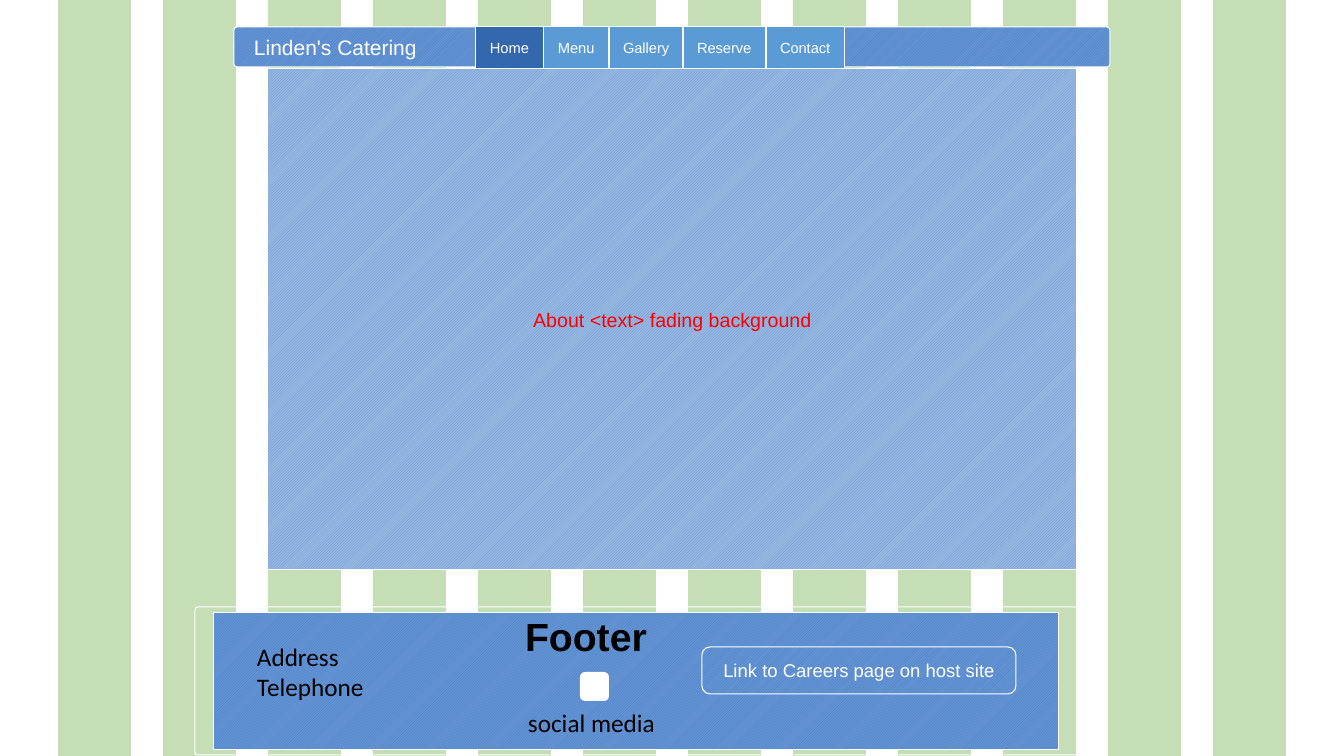
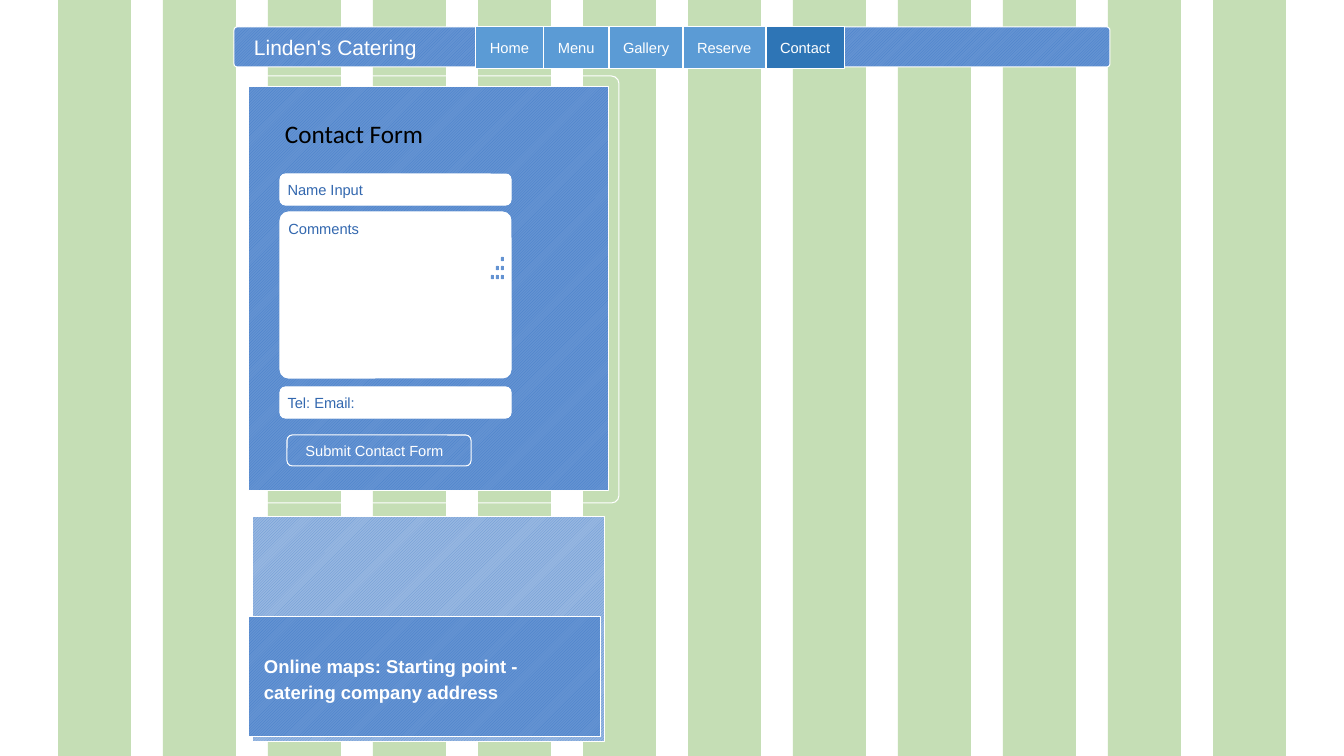
from lxml.etree import SubElement
from pptx import Presentation
from pptx.dml.color import RGBColor
from pptx.enum.dml import MSO_PATTERN as Pattern
from pptx.enum.shapes import MSO_SHAPE as Shape
from pptx.enum.text import MSO_ANCHOR as Anchor, PP_ALIGN as Align
from pptx.oxml.ns import qn
from pptx.util import Pt

# Scale: one pixel is 1/100.8 inch
EMU_PER_PIXEL = 914400 / 100.8
WIDTH, HEIGHT = 1344, 756

# Colours
WHITE = RGBColor(0xFF, 0xFF, 0xFF)
BLACK = RGBColor(0, 0, 0)
RED = RGBColor(0xFF, 0, 0)
GREEN = RGBColor(0x70, 0xAD, 0x47)
TAB_BLUE = RGBColor(0x5B, 0x9B, 0xD5)
HOME_BLUE = RGBColor(0x33, 0x68, 0xAF)
CONTACT_BLUE = RGBColor(0x2E, 0x75, 0xB6)
DEEP_BLUE = RGBColor(0x43, 0x7C, 0xC9)
MID_BLUE = RGBColor(0x64, 0x93, 0xD2)
PALE_BLUE = RGBColor(0x97, 0xB7, 0xE1)

# Hatched fills: foreground and background
DARK_HATCH = (DEEP_BLUE, MID_BLUE)
LIGHT_HATCH = (MID_BLUE, PALE_BLUE)

SITE_NAME = "Linden's Catering"
TABS = [("Home", 68), ("Menu", 65), ("Gallery", 74), ("Reserve", 83), ("Contact", 79)]


def px(length):
    return round(length * EMU_PER_PIXEL)


class Page:
    """Holds the style and the current slide."""

    body_font = "Arial"
    label_font = "Calibri"

    def __init__(self, presentation):
        self.presentation = presentation
        self.slide = None

    def new_slide(self):
        layout = self.presentation.slide_layouts[5]
        self.slide = self.presentation.slides.add_slide(layout)

    def set_text(self, shape, text, size, color=WHITE, font=body_font, bold=False,
                 align=Align.LEFT, anchor=Anchor.MIDDLE, inset=(10, 5, 10, 5), wrap=True):
        frame = shape.text_frame
        frame.text = text
        frame.word_wrap = wrap
        frame.vertical_anchor = anchor
        frame.margin_left, frame.margin_top, frame.margin_right, frame.margin_bottom = map(px, inset)
        for paragraph in frame.paragraphs:
            paragraph.alignment = align
            paragraph.font.name = font
            paragraph.font.size = Pt(size)
            paragraph.font.bold = bold
            paragraph.font.color.rgb = color
        return frame

    def box(self, place, fill=None, line=WHITE, kind=Shape.RECTANGLE, corner=None):
        shape = self.slide.shapes.add_shape(kind, *map(px, place))
        shape.shadow.inherit = False
        if corner is not None:
            shape.adjustments[0] = corner
        if fill is None:
            shape.fill.background()
        elif isinstance(fill, RGBColor):
            shape.fill.solid()
            shape.fill.fore_color.rgb = fill
        else:
            shape.fill.patterned()
            shape.fill.pattern = Pattern.LIGHT_UPWARD_DIAGONAL
            shape.fill.fore_color.rgb, shape.fill.back_color.rgb = fill
        if line is None:
            shape.line.fill.background()
        else:
            shape.line.color.rgb = line
            shape.line.width = Pt(0.75)
        return shape

    def rounded(self, place, fill=None, line=WHITE, corner=0.17):
        return self.box(place, fill, line, Shape.ROUNDED_RECTANGLE, corner)

    def label(self, place, text, size=18, font=label_font, **style):
        shape = self.slide.shapes.add_textbox(*map(px, place))
        self.set_text(shape, text, size, BLACK, font, anchor=Anchor.TOP, **style)

    def button(self, place, text, size, inset):
        self.set_text(self.rounded(place, DARK_HATCH), text, size, inset=inset, wrap=False)

    def field(self, top, height, text, corner=0.17, anchor=Anchor.MIDDLE):
        shape = self.rounded((280, top, 231, height), WHITE, corner=corner)
        self.set_text(shape, text, 10.5, HOME_BLUE, anchor=anchor, inset=(6, 5, 6, 5))

    def stripes(self):
        """Draw the background stripes and move them to the slide master."""
        tree = self.presentation.slide_master.shapes.element
        for index in range(12):
            stripe = self.box((58 + 105 * index, 0, 73, HEIGHT), GREEN, line=None)
            color = stripe.element.spPr.find(qn("a:solidFill")).find(qn("a:srgbClr"))
            SubElement(color, qn("a:alpha"), val="40000")
            stripe.element.nvSpPr.cNvPr.set("id", str(100 + index))
            tree.append(stripe.element)

    def navigation(self, active, active_color):
        bar = (234, 27, 876, 40)
        self.rounded(bar, DARK_HATCH, corner=0.08)
        title = self.slide.shapes.title
        title.left, title.top, title.width, title.height = map(px, bar)
        self.set_text(title, SITE_NAME, 15, inset=(20, 5, 10, 5))
        self.slide.shapes.element.append(title.element)  # bring in front of the bar
        left = 476
        for name, width in TABS:
            color = active_color if name == active else TAB_BLUE
            tab = self.box((left, 27, width, 42), color)
            self.set_text(tab, name, 10.5, inset=(14, 12, 14, 12), wrap=False)
            left += width


presentation = Presentation()
presentation.slide_width, presentation.slide_height = px(WIDTH), px(HEIGHT)
page = Page(presentation)

# Home page
page.new_slide()
page.stripes()
page.navigation("Home", HOME_BLUE)
about = page.box((268, 69, 809, 501), LIGHT_HATCH)
page.set_text(about, "About <text> fading background", 14, RED, align=Align.CENTER)

# Home page footer
page.rounded((195, 607, 883, 148), corner=0.02)
page.box((214, 613, 845, 137), DARK_HATCH)
page.button((702, 647, 314, 47), "Link to Careers page on host site", 13.2, (19, 10, 19, 10))
page.label((353, 607, 466, 57), "Footer", 28, page.body_font, bold=True, align=Align.CENTER)
page.rounded((580, 672, 29, 29), WHITE, line=None)
page.label((518, 702, 152, 40), "social media")
page.label((247, 636, 169, 72), "Address\vTelephone")

# Contact page
page.new_slide()
page.navigation("Contact", CONTACT_BLUE)

# Map with its caption
page.box((253, 517, 352, 225), LIGHT_HATCH)
caption = page.box((249, 617, 352, 120), DARK_HATCH)
caption_frame = page.set_text(caption, "Online maps: Starting point - catering company address",
                              13.2, bold=True, inset=(15, 5, 15, 5))
caption_frame.paragraphs[0].line_spacing = 1.2
caption_frame.paragraphs[0].space_after = Pt(4)

# Contact form
page.rounded((239, 76, 380, 427), corner=0.02)
page.box((249, 87, 360, 404), DARK_HATCH)
page.label((275, 113, 294, 40), "Contact Form")
page.button((287, 435, 184, 31), "Submit Contact Form", 10.5, (17, 5, 25, 5))
page.field(212, 166, "Comments", corner=0.05, anchor=Anchor.TOP)
page.field(174, 31, "Name Input")
page.field(387, 31, "Tel: Email:")

# Resize grip of the comments field
for row in range(3):
    for column in range(2 - row, 3):
        page.rounded((491 + 5 * column, 257 + 9 * row, 3, 4), MID_BLUE, line=None)

presentation.save("out.pptx")
